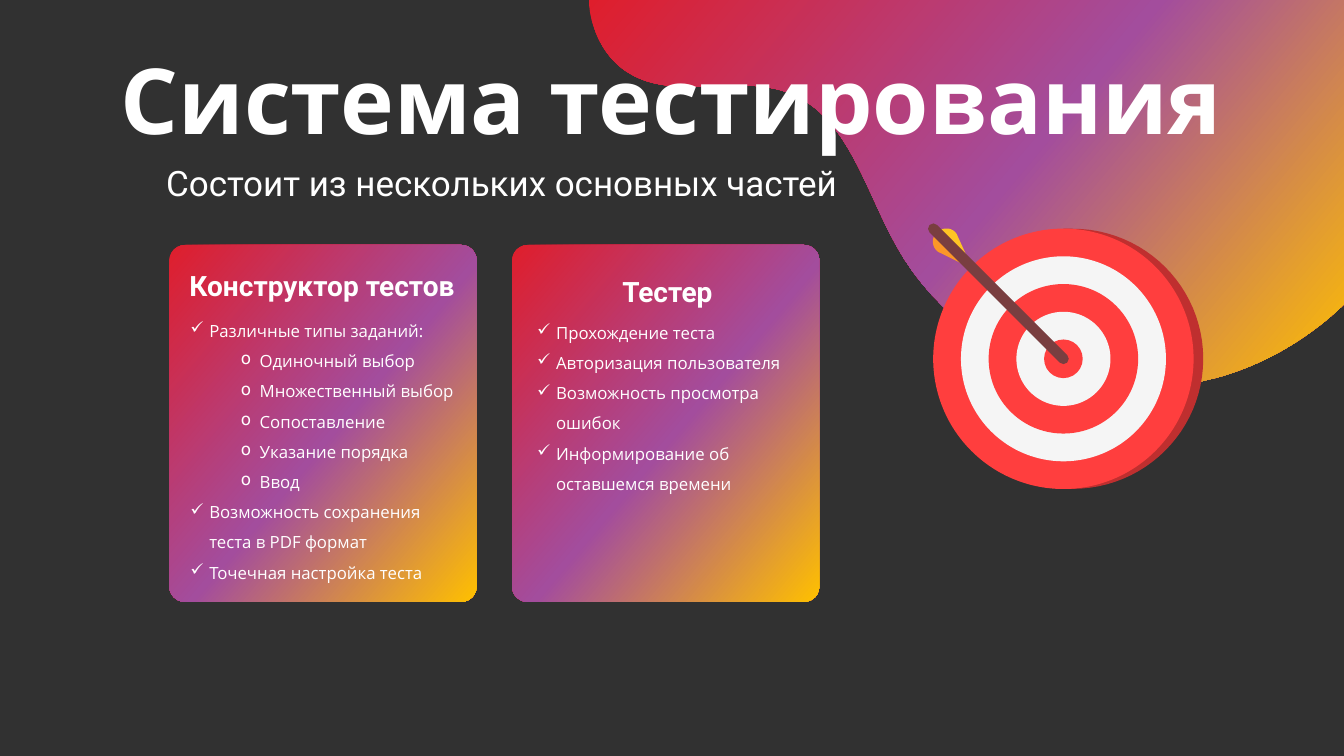
"""Build the testing system slide with two feature cards and a target."""
from copy import deepcopy

from lxml import etree
from pptx import Presentation
from pptx.dml.color import RGBColor
from pptx.enum.shapes import MSO_CONNECTOR, MSO_SHAPE
from pptx.enum.text import MSO_ANCHOR, PP_ALIGN
from pptx.oxml.ns import qn
from pptx.util import Pt

CENTER, LEFT = PP_ALIGN.CENTER, PP_ALIGN.LEFT
TOP, MIDDLE = MSO_ANCHOR.TOP, MSO_ANCHOR.MIDDLE
OVAL, ROUNDED = MSO_SHAPE.OVAL, MSO_SHAPE.ROUNDED_RECTANGLE
STRAIGHT = MSO_CONNECTOR.STRAIGHT

DARK = RGBColor(0x31, 0x31, 0x31)
WHITE = RGBColor(0xFF, 0xFF, 0xFF)
RED = RGBColor(0xFF, 0x3E, 0x3E)
PALE = RGBColor(0xF5, 0xF5, 0xF5)
SHADE = RGBColor(0xBF, 0x2F, 0x2F)
YELLOW = RGBColor(0xFE, 0xC5, 0x24)
ORANGE = RGBColor(0xFB, 0x97, 0x28)
BROWN = RGBColor(0x79, 0x3E, 0x40)
GRADIENT = [
    (0, RGBColor(0xDF, 0x1E, 0x2C)),
    (0.53, RGBColor(0xA3, 0x4D, 0x9D)),
    (1, RGBColor(0xFF, 0xC0, 0x00)),
]

TITLE = "Система тестирования"
SUBTITLE = "Состоит из нескольких основных частей"
CARDS = [
    {
        "left": 121,
        "heading": ("Конструктор тестов", (111.6, 187.9, 236.9, 31.7)),
        "list_box": (128.9, 218.2, 205.2, 247),
        "items": [
            (0, "Различные типы заданий:"),
            (1, "Одиночный выбор"),
            (1, "Множественный выбор"),
            (1, "Сопоставление"),
            (1, "Указание порядка"),
            (1, "Ввод"),
            (0, "Возможность сохранения теста в PDF формат"),
            (0, "Точечная настройка теста"),
        ],
    },
    {
        "left": 365.8,
        "heading": ("Тестер", (405.4, 192.2, 142.6, 31.7)),
        "list_box": (376.6, 219.6, 205.2, 138.2),
        "items": [
            (0, "Прохождение теста"),
            (0, "Авторизация пользователя"),
            (0, "Возможность просмотра ошибок"),
            (0, "Информирование об оставшемся времени"),
        ],
    },
]
CARD_TOP, CARD_WIDTH, CARD_HEIGHT = 175, 219.4, 254.9
BULLETS = ["✓", "o"]
INDENTS = [13.5, 49.5]
HANGING = 13.5

BLOB = [
    [(420.5, 0)],
    [(421.9, 20.9), (431.3, 41), (448.6, 51.8)],
    [(481.7, 72.7), (526.3, 52.6), (563, 66.2)],
    [(605.5, 82.1), (617.8, 135.4), (640.1, 175)],
    [(682.6, 253.4), (782.6, 293), (868.3, 270)],
    [(902.9, 260.6), (934.6, 241.9), (960, 217.4)],
    [(960, 0)],
]
TARGET_SIDE = [
    [(759.6, 163.4)],
    [(766.1, 163.4)],
    [(817.9, 163.4), (859.5, 205.1), (859.5, 256.3)],
    [(859.5, 307.5), (817.9, 349.2), (766.1, 349.2)],
    [(759.6, 349.2)],
]
FEATHERS = [
    (YELLOW, [[(684, 168.5)], [(681.8, 162.7), (673.9, 161.3), (668.9, 166.3)],
              [(694.8, 192.2)]]),
    (ORANGE, [[(671.8, 180.7)], [(666, 178.6), (664.6, 170.6), (668.9, 166.3)],
              [(694.8, 192.2)]]),
]
TARGET_CENTER = (759.6, 256.3)
RING_COLORS = [RED, PALE, RED, PALE, RED]
RING_OUTER, RING_STEP = 186, 39.6
ARROW_TAIL = (666.7, 163.4)
CURVE_STEPS = 24


def points(values):
    return [Pt(value) for value in values]


def paint(shape, color=None):
    shape.shadow.inherit = False
    shape.line.fill.background()
    if color is not None:
        shape.fill.solid()
        shape.fill.fore_color.rgb = color
        return
    shape.fill.gradient()
    shape.fill.gradient_angle = 320
    first_stop = next(shape.element.spPr.iter(qn("a:gs")))
    first_stop.addnext(deepcopy(first_stop))
    for stop, (position, stop_color) in zip(shape.fill.gradient_stops, GRADIENT):
        stop.position = position
        stop.color.rgb = stop_color


def curve_points(start, first, second, end):
    for step in range(1, CURVE_STEPS + 1):
        t = step / CURVE_STEPS
        weights = ((1 - t) ** 3, 3 * t * (1 - t) ** 2, 3 * t * t * (1 - t), t ** 3)
        corners = (start, first, second, end)
        yield tuple(sum(w * corner[axis] for w, corner in zip(weights, corners))
                    for axis in (0, 1))


def add_outline(shapes, segments, color=None):
    outline = [segments[0][0]]
    for segment in segments[1:]:
        if len(segment) == 1:
            outline += segment
        else:
            outline += list(curve_points(outline[-1], *segment))
    vertices = [points(vertex) for vertex in outline]
    builder = shapes.build_freeform(*vertices[0], scale=1.0)
    builder.add_line_segments(vertices[1:], close=True)
    paint(builder.convert_to_shape(), color)


def style(para, size, name, bold=False):
    para.font.size = Pt(size)
    para.font.name = name
    para.font.bold = bold
    para.font.color.rgb = WHITE


def add_box(page, area, anchor=TOP):
    frame = page.shapes.add_textbox(*points(area)).text_frame
    frame.word_wrap = True
    frame.vertical_anchor = anchor
    return frame


def add_label(page, text, area, size, name, bold=False, align=CENTER, anchor=TOP):
    para = add_box(page, area, anchor).paragraphs[0]
    para.text = text
    para.alignment = align
    style(para, size, name, bold)
    return para


def add_list(page, items, area):
    frame = add_box(page, area)
    for index, (level, text) in enumerate(items):
        para = frame.add_paragraph() if index else frame.paragraphs[0]
        para.text = text
        para.level = level
        para.line_spacing = 1.5
        properties = para._p.get_or_add_pPr()
        properties.set("marL", str(Pt(INDENTS[level])))
        properties.set("indent", str(-Pt(HANGING)))
        etree.SubElement(properties, qn("a:buChar"), char=BULLETS[level])
        style(para, 12, "Open Sans")


def add_target(page):
    shapes = page.shapes.add_group_shape().shapes
    add_outline(shapes, TARGET_SIDE, SHADE)
    for index, color in enumerate(RING_COLORS):
        size = RING_OUTER - index * RING_STEP
        left, top = (middle - size / 2 for middle in TARGET_CENTER)
        paint(shapes.add_shape(OVAL, *points((left, top, size, size))), color)
    for color, feather in FEATHERS:
        add_outline(shapes, feather, color)
    shaft = shapes.add_connector(STRAIGHT, *points(TARGET_CENTER + ARROW_TAIL))
    shaft.line.color.rgb = BROWN
    shaft.line.width = Pt(7.63)
    properties = shaft.element.spPr
    properties.find(qn("a:ln")).set("cap", "rnd")
    etree.SubElement(properties, qn("a:effectLst"))


def add_card(page, card):
    area = (card["left"], CARD_TOP, CARD_WIDTH, CARD_HEIGHT)
    panel = page.shapes.add_shape(ROUNDED, *points(area))
    panel.adjustments[0] = 0.05
    paint(panel)
    add_list(page, card["items"], card["list_box"])
    add_label(page, *card["heading"], 20, "Roboto", bold=True)


def main():
    deck = Presentation()
    deck.slide_width, deck.slide_height = Pt(960), Pt(540)
    page = deck.slides.add_slide(deck.slide_layouts[6])
    page.background.fill.solid()
    page.background.fill.fore_color.rgb = DARK
    add_label(page, SUBTITLE, (111.6, 111.6, 563, 37.4), 25, "Roboto", align=LEFT)
    add_outline(page.shapes, BLOB)
    title = add_label(page, TITLE, (64.8, 28.8, 830.2, 92.9), 65, "Open Sans",
                      bold=True, anchor=MIDDLE)
    title.line_spacing = 0.9
    title.space_before = Pt(10)
    add_target(page)
    for card in CARDS:
        add_card(page, card)
    deck.save("out.pptx")


if __name__ == "__main__":
    main()
